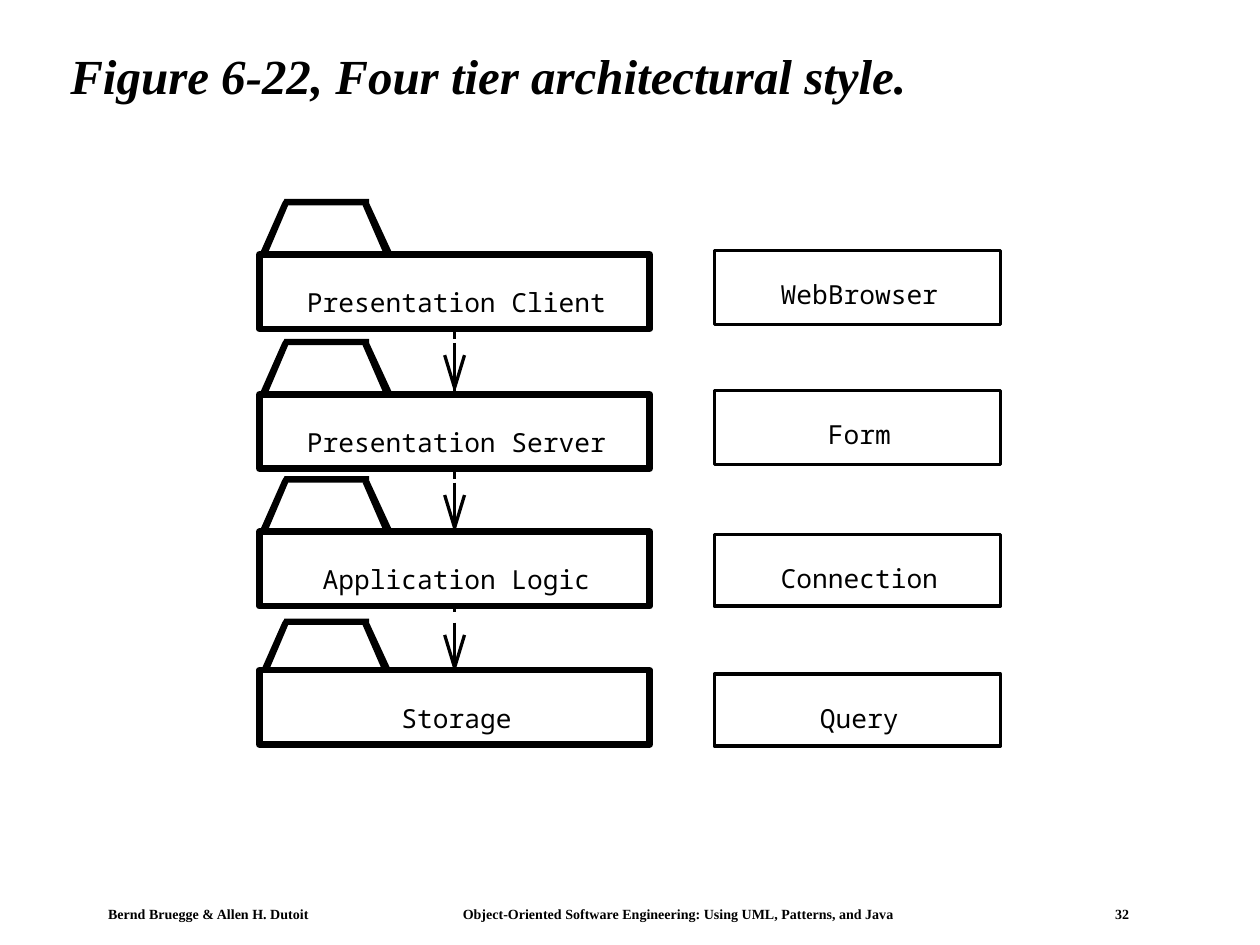
from lxml.etree import SubElement as Sub
from pptx import Presentation as Deck
from pptx.dml.color import RGBColor as Rgb
from pptx.enum.shapes import MSO_CONNECTOR as Link, MSO_SHAPE as Kind
from pptx.enum.text import MSO_ANCHOR as Anchor, PP_ALIGN as Align
from pptx.oxml.ns import qn
from pptx.util import Cm, Pt

TITLE = "Figure 6-22, Four tier architectural style."
FOOT = [
    "Bernd Bruegge & Allen H. Dutoit",
    "Object-Oriented Software Engineering: Using UML, Patterns, and Java",
    "32",
]
STOPS = [7.15, 20.3]

TIERS = [
    ("Presentation Client", 4.01, 5.13),
    ("Presentation Server", 6.83, 7.95),
    ("Application Logic", 9.6, 10.72),
    ("Storage", 12.47, 13.51),
]
PARTS = [
    ("WebBrowser", 5.05, 1.5),
    ("Form", 7.87, 1.5),
    ("Connection", 10.77, 1.45),
    ("Query", 13.59, 1.45),
]
GAPS = [(6.83, 6.91, 7.82), (9.65, 9.73, 10.64), (12.34, 12.55, 13.46)]

TAB = [
    [(0, 1.12), (0.13, 1.19), (0.58, 0.13), (0.51, 0), (0.46, 0.08)],
    [(0.51, 0), (0.51, 0.13), (2.16, 0.13), (2.21, 0.08), (2.21, 0)],
    [(2.21, 0.08), (2.08, 0.13), (2.54, 1.19), (2.74, 1.19), (2.69, 1.12)],
]
HEAD = [(0.2, -0.66), (0, 0), (-0.2, -0.66)]

TIER_X, TIER_W, TIER_H = 5.23, 7.87, 1.5
PART_X, PART_W = 14.4, 5.77
MID = TIER_X + TIER_W / 2

THEME = {
    "ink": Rgb(0, 0, 0),
    "paper": Rgb(255, 255, 255),
    "thick": Pt(3.75),
    "thin": Pt(1.88),
    "title": {"name": "Times New Roman", "size": Pt(28), "bold": True, "italic": True},
    "label": {"name": "Noto Sans Mono", "size": Pt(15)},
    "foot": {"name": "Times New Roman", "size": Pt(8), "bold": True},
}


def style(item, values):
    for key, value in values.items():
        setattr(item, key, value)


def write(frame, text, look, stops=(), **form):
    para = frame.paragraphs[0]
    para.text = text
    if stops:
        tabs = Sub(para._p.get_or_add_pPr(), qn("a:tabLst"))
        for stop in stops:
            Sub(tabs, qn("a:tab"), pos=str(Cm(stop)), algn="l")
    style(para, form)
    style(para.font, THEME[look])
    para.font.color.rgb = THEME["ink"]


def note(spot, text, look, inset, **form):
    frame = slide.shapes.add_textbox(*map(Cm, spot)).text_frame
    style(frame, {"word_wrap": True, **inset})
    write(frame, text, look, **form)


def ink(line, width):
    line.color.rgb = THEME["ink"]
    line.width = THEME[width]


def block(spot, text, width, drop):
    box = slide.shapes.add_shape(Kind.RECTANGLE, *map(Cm, spot))
    box.shadow.inherit = False
    box.fill.solid()
    box.fill.fore_color.rgb = THEME["paper"]
    ink(box.line, width)
    style(box.text_frame, {
        "word_wrap": True, "vertical_anchor": Anchor.TOP,
        "margin_left": Cm(0.08), "margin_top": Cm(drop),
        "margin_right": 0, "margin_bottom": 0,
    })
    write(box.text_frame, text, "label", alignment=Align.CENTER)
    return box


def trace(dots, left, top, solid):
    dots = [(Cm(left + x), Cm(top + y)) for x, y in dots]
    pen = slide.shapes.build_freeform(*dots[0])
    pen.add_line_segments(dots[1:], close=solid)
    form = pen.convert_to_shape()
    form.shadow.inherit = False
    if solid:
        form.fill.solid()
        form.fill.fore_color.rgb = THEME["ink"]
        form.line.fill.background()
    else:
        form.fill.background()
        ink(form.line, "thin")


def dash(start, end):
    line = slide.shapes.add_connector(Link.STRAIGHT, Cm(MID), Cm(start), Cm(MID), Cm(end))
    ink(line.line, "thin")
    Sub(line._element.spPr, qn("a:effectLst"))
    return line


deck = Deck()
style(deck, {"slide_width": Cm(25.4), "slide_height": Cm(19.05)})
slide = deck.slides.add_slide(deck.slide_layouts[6])

note((1.17, 0.61, 22.66, 1.96), TITLE, "title",
     {"vertical_anchor": Anchor.MIDDLE}, line_spacing=0.9)
note((1.98, 18.16, 21.01, 0.53), "\t".join(FOOT), "foot",
     {"margin_left": Cm(0.2), "margin_right": 0, "margin_top": Cm(0.1), "margin_bottom": Cm(0.1)},
     stops=STOPS)

boxes = []
for name, peak, top in TIERS:
    for dots in TAB:
        trace(dots, TIER_X, peak, True)
    boxes.append(block((TIER_X, top, TIER_W, TIER_H), name, "thick", 0.64))

for upper, lower, (stop, start, tip) in zip(boxes, boxes[1:], GAPS):
    dash(stop - 0.25, stop).begin_connect(upper, 2)
    dash(start, tip).end_connect(lower, 0)
    trace(HEAD, MID, tip, False)

for name, top, high in PARTS:
    block((PART_X, top, PART_W, high), name, "thin", 0.56)

deck.save("out.pptx")
